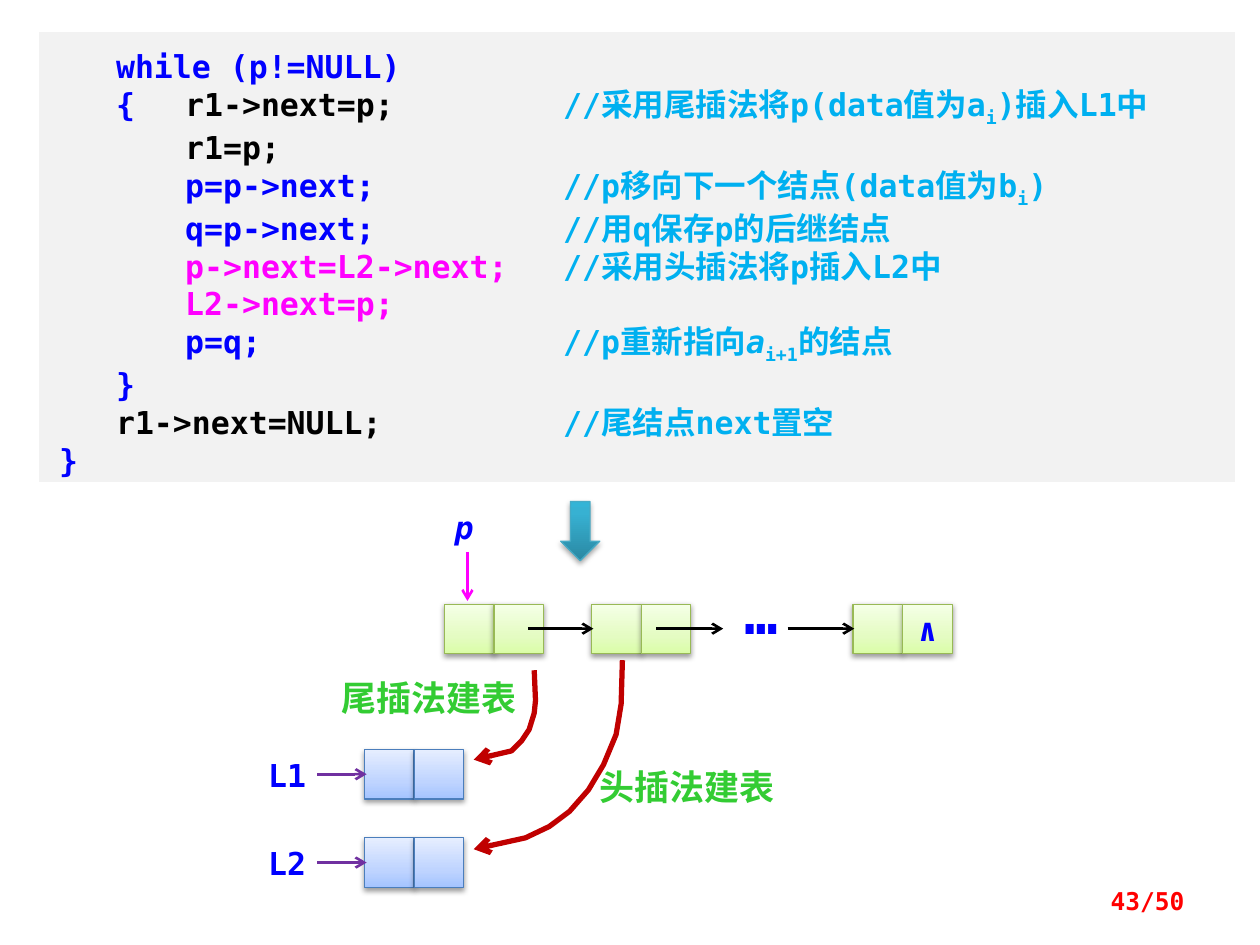
from lxml import etree
from pptx import Presentation
from pptx import util as u
from pptx.dml.color import RGBColor
from pptx.enum import shapes, text
from pptx.oxml.ns import qn

WIDTH, HEIGHT = u.Inches(10), u.Inches(7.5)
MONO, HAN = "DejaVu Sans Mono", "Noto Sans CJK SC"
BLUE, BLACK, CYAN, PINK = "0000FF", "000000", "00B0F0", "FF00FF"
GREEN, RED, PURPLE, DARK_RED = "33CC33", "FF0000", "7030A0", "C00000"

# Gradient stops (percent, colour) and outline of each kind of filled shape
GREEN_NODE = ([(0, "DAFDA7"), (35, "E4FCC2"), (100, "F5FFE7")], "98B955")
BLUE_NODE = ([(0, "A4C4FF"), (35, "BFD4FF"), (100, "E6EEFF")], "4B7EBC")
TEAL = ([(0, "2A88A2"), (80, "37B1D2"), (100, "34B4D6")], "46AAC5")

# Node cell, as a percentage of the slide's width and height
CELL_W, CELL_H = 3.94, 5.25

# Code lines as runs: text, colour and optional style
CODE = [
    [("   while (p!=NULL)", BLUE)],
    [("   {\t", BLUE), ("r1->next=p;", BLACK),
     ("\t\t//采用尾插法将p(data值为a", CYAN), ("i", CYAN, "sub"), (")插入L1中", CYAN)],
    [("\tr1=p;", BLACK)],
    [("\tp=p->next;\t\t", BLUE), ("//p移向下一个结点(data值为b", CYAN),
     ("i", CYAN, "sub"), (")", CYAN)],
    [("\tq=p->next;\t\t", BLUE), ("//用q保存p的后继结点", CYAN)],
    [("\tp->next=L2->next;\t", PINK), ("//采用头插法将p插入L2中", CYAN)],
    [("\tL2->next=p;", PINK)],
    [("\tp=q;\t\t\t", BLUE), ("//p重新指向", CYAN), ("a", CYAN, "italic"),
     ("i+1", CYAN, "sub"), ("的结点", CYAN)],
    [("   }", BLUE)],
    [("   r1->next=NULL;\t\t", BLACK), ("//尾结点next置空", CYAN)],
    [("}", BLUE)],
]

# Curved arrows as points in percent of the slide
HEAD_CURVE = [(49.4, 69.87), (49.3, 74.53), (48.9, 77.73), (47.9, 80.93), (46.7, 83.6),
              (45.2, 85.87), (43.6, 87.47), (41.7, 88.67), (37.6, 89.87)]
TAIL_CURVE = [(42.4, 70.93), (42.5, 74.13), (42.4, 75.47), (42, 77.2),
              (41.4, 78.4), (40.6, 79.47), (37.6, 80.4)]


def color(hex_string):
    return RGBColor.from_string(hex_string)


def across(percent):
    return round(WIDTH * percent / 100)


def down(percent):
    return round(HEIGHT * percent / 100)


def place(left, top, width, height):
    return across(left), down(top), across(width), down(height)


def add_span(para, words, hex_string, style="", size=18, font=MONO, bold=True):
    span = para.add_run()
    span.text = words
    span.font.size = u.Pt(size)
    span.font.bold = bold
    span.font.italic = style == "italic"
    span.font.color.rgb = color(hex_string)
    span.font.name = font
    props = span.font._element
    if style == "sub":
        props.set("baseline", "-25000")
    if any("一" <= letter <= "龥" for letter in words):
        etree.SubElement(props, qn("a:ea")).set("typeface", HAN)


def add_label(page, area, words, hex_string, align=text.PP_ALIGN.LEFT,
              anchor=text.MSO_ANCHOR.TOP, **look):
    box = page.shapes.add_textbox(*place(*area))
    frame = box.text_frame
    frame.word_wrap = True
    frame.vertical_anchor = anchor
    frame.paragraphs[0].alignment = align
    add_span(frame.paragraphs[0], words, hex_string, **look)


def add_tab_stops(para, count=4):
    stops = etree.SubElement(para._p.get_or_add_pPr(), qn("a:tabLst"))
    for inch in range(1, count + 1):
        etree.SubElement(stops, qn("a:tab"), pos=str(u.Inches(inch)), algn="l")


def add_code(page):
    box = page.shapes.add_shape(shapes.MSO_SHAPE.RECTANGLE, *place(3.1, 3.4, 94.9, 47.6))
    box.shadow.inherit = False
    box.fill.solid()
    box.fill.fore_color.rgb = color("F2F2F2")
    box.line.fill.background()
    frame = box.text_frame
    frame.word_wrap = True
    frame.vertical_anchor = text.MSO_ANCHOR.TOP
    frame.margin_left = frame.margin_right = u.Inches(0.16)
    frame.margin_top = frame.margin_bottom = u.Inches(0.12)
    for number, line in enumerate(CODE):
        para = frame.add_paragraph() if number else frame.paragraphs[0]
        add_tab_stops(para)
        para.alignment = text.PP_ALIGN.LEFT
        for span in line:
            add_span(para, *span)


def add_gradient_shape(page, kind, area, look, opacity=38):
    stops, outline = look
    shape = page.shapes.add_shape(kind, *place(*area))
    shape.fill.gradient()
    shape.fill.gradient_angle = 90
    props = shape._element.spPr
    stop_list = props.find(qn("a:gradFill")).find(qn("a:gsLst"))
    for stop in list(stop_list):
        stop_list.remove(stop)
    for percent, hex_string in stops:
        stop = etree.SubElement(stop_list, qn("a:gs"), pos=str(percent * 1000))
        etree.SubElement(stop, qn("a:srgbClr"), val=hex_string)
    shape.line.color.rgb = color(outline)
    shape.line.width = u.Pt(0.75)
    # Soft shadow straight below
    shape.shadow.inherit = False
    shadow = etree.SubElement(props.find(qn("a:effectLst")), qn("a:outerShdw"),
                              blurRad=str(u.Pt(3.1)), dist=str(u.Pt(1.6)),
                              dir="5400000", rotWithShape="0")
    tint = etree.SubElement(shadow, qn("a:srgbClr"), val=BLACK)
    etree.SubElement(tint, qn("a:alpha"), val=str(opacity * 1000))
    return shape


def add_node(page, left, top, look, mark=""):
    for column in range(2):
        area = (left + column * CELL_W, top, CELL_W, CELL_H)
        cell = add_gradient_shape(page, shapes.MSO_SHAPE.RECTANGLE, area, look)
    if mark:
        frame = cell.text_frame
        frame.word_wrap = False
        frame.vertical_anchor = text.MSO_ANCHOR.MIDDLE
        frame.paragraphs[0].alignment = text.PP_ALIGN.CENTER
        add_span(frame.paragraphs[0], mark, BLUE)


def style_arrow(arrow, hex_string, width):
    arrow.line.color.rgb = color(hex_string)
    arrow.line.width = u.Pt(width)
    etree.SubElement(arrow.line._get_or_add_ln(), qn("a:tailEnd"), type="arrow")


def add_arrow(page, start, end, hex_string):
    arrow = page.shapes.add_connector(shapes.MSO_CONNECTOR.STRAIGHT,
                                      across(start[0]), down(start[1]),
                                      across(end[0]), down(end[1]))
    style_arrow(arrow, hex_string, 1.5)
    etree.SubElement(arrow._element.spPr, qn("a:effectLst"))


def add_curve(page, points):
    first, *rest = [(across(x), down(y)) for x, y in points]
    builder = page.shapes.build_freeform(*first)
    builder.add_line_segments(rest, close=False)
    curve = builder.convert_to_shape()
    curve.fill.background()
    style_arrow(curve, DARK_RED, 3)
    curve.shadow.inherit = False


def main():
    deck = Presentation()
    deck.slide_width, deck.slide_height = WIDTH, HEIGHT
    page = deck.slides.add_slide(deck.slide_layouts[6])

    add_code(page)

    # Result lists L1 and L2
    for name, top in (("L1", 79.3), ("L2", 88.65)):
        add_node(page, 28.93, top, BLUE_NODE)
        add_arrow(page, (25.2, top + 2.63), (29.1, top + 2.63), PURPLE)
        add_label(page, (20.3, top, 5.5, 5.33), name, BLUE)

    # Source list with its links
    for left, mark in ((35.27, ""), (46.95, ""), (67.7, "∧")):
        add_node(page, left, 63.95, GREEN_NODE, mark)
    for start, end in ((41.9, 47.1), (52.1, 57.4), (62.5, 67.8)):
        add_arrow(page, (start, 66.53), (end, 66.53), BLACK)
    add_label(page, (58.1, 60.55, 4.1, 8.4), "…", BLUE, size=32)

    # Pointer p
    add_label(page, (35.1, 53.07, 3.9, 5.33), "p", BLUE, style="italic")
    add_arrow(page, (37.1, 58.4), (37.1, 63.6), PINK)

    # Ways of inserting
    for points, area, name in ((HEAD_CURVE, (46.6, 80.4, 20.5, 5.73), "头插法建表"),
                               (TAIL_CURVE, (26.1, 70.93, 20.5, 5.73), "尾插法建表")):
        add_curve(page, points)
        add_label(page, area, name, GREEN, size=20, font=HAN)

    # Step arrow and page number
    add_gradient_shape(page, shapes.MSO_SHAPE.DOWN_ARROW, (44.5, 53.07, 3.1, 6.27), TEAL, 35)
    add_label(page, (71.7, 92.67, 23.3, 5.33), "43/50", RED, size=14,
              align=text.PP_ALIGN.RIGHT, anchor=text.MSO_ANCHOR.MIDDLE)

    deck.save("out.pptx")


if __name__ == "__main__":
    main()
